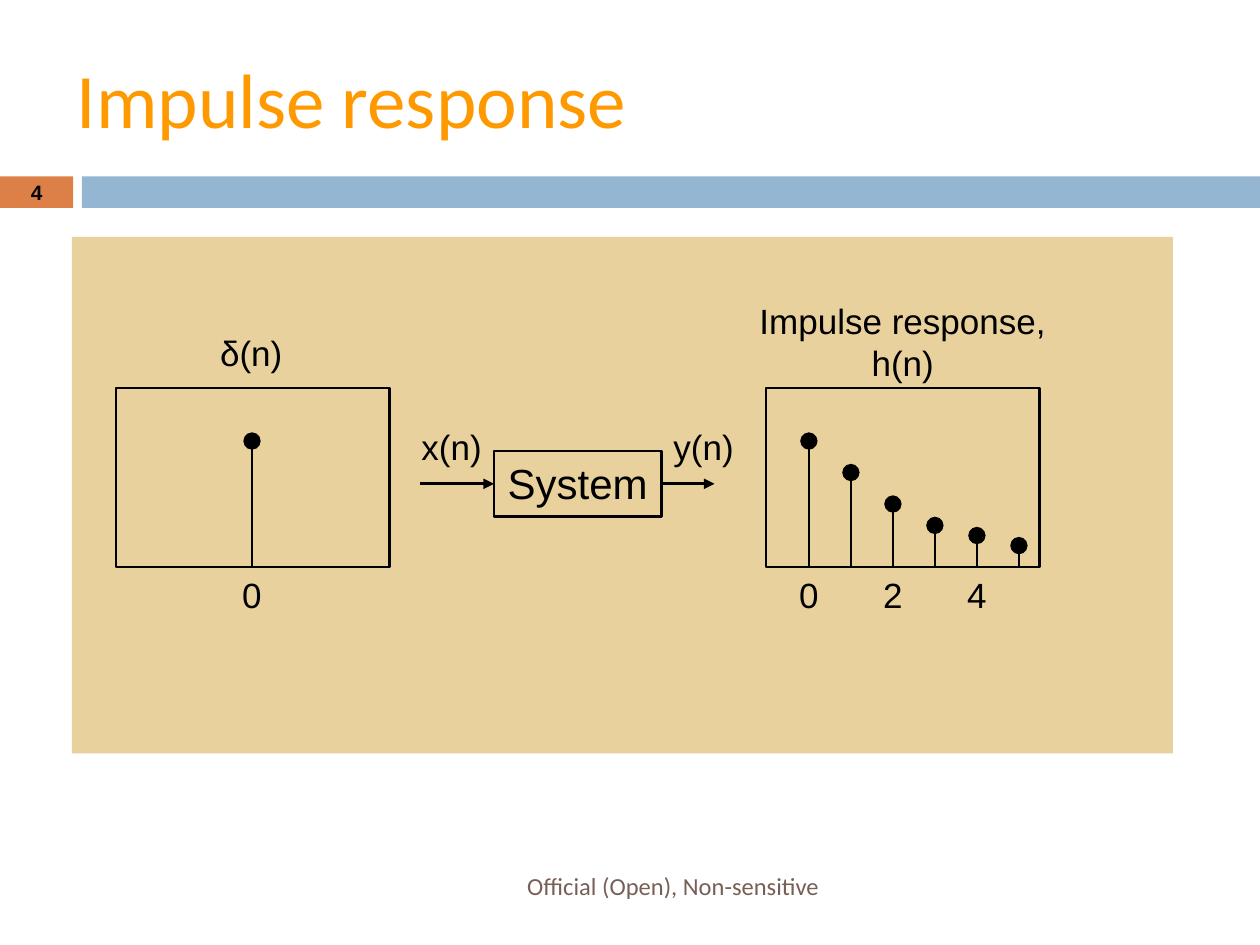
from pptx import Presentation
from pptx.dml.color import RGBColor
from pptx.enum.shapes import MSO_CONNECTOR, MSO_SHAPE
from pptx.enum.text import MSO_ANCHOR, PP_ALIGN
from pptx.oxml.ns import qn
from pptx.util import Inches, Pt
from lxml.etree import SubElement

BLACK = "000000"
BANDS = [
    (0, 1.4, 0.58, 0.25, "DD8047"),
    (0.65, 1.4, 9.35, 0.25, "94B6D2"),
    (0.57, 1.88, 8.74, 4.1, "E8D19D"),
]
PLOT_TOP, PLOT_WIDTH, PLOT_HEIGHT = 3.08, 2.17, 1.42
BASELINE = PLOT_TOP + PLOT_HEIGHT
STEP = 1 / 3
PLOTS = [
    {"left": 0.92, "origin": 2, "stems": [1], "ticks": [0]},
    {"left": 6.08, "origin": 6.42, "stems": [1, 0.75, 0.5, 0.33, 0.25, 0.17], "ticks": [0, 2, 4]},
]
LABELS = [
    ("δ(n)", 1.58, 2.58, 0.83, 0.43),
    ("Impulse response, h(n)", 5.83, 2.33, 2.67, 0.77),
    ("x(n)", 3.17, 3.33, 0.83, 0.43),
    ("y(n)", 5.17, 3.33, 0.83, 0.43),
]
SYSTEM = (3.92, 3.58, 1.33, 0.52)
FLOW_Y = SYSTEM[1] + SYSTEM[3] / 2

deck = Presentation()
deck.slide_width, deck.slide_height = Inches(10), Inches(7.5)
page = deck.slides.add_slide(deck.slide_layouts[5])


def color(value):
    return RGBColor.from_string(value)


def write(shape, text, size, font="Arial", ink=BLACK, align=PP_ALIGN.CENTER,
          anchor=MSO_ANCHOR.TOP, bold=False):
    frame = shape.text_frame
    frame.text = text
    frame.word_wrap = True
    frame.vertical_anchor = anchor
    para = frame.paragraphs[0]
    para.alignment = align
    span = para.runs[0].font
    span.size, span.name, span.bold = Pt(size), font, bold
    span.color.rgb = color(ink)


def add_label(text, left, top, width, height, size=20, **style):
    box = page.shapes.add_textbox(*map(Inches, (left, top, width, height)))
    write(box, text, size, **style)
    return box


def add_rectangle(left, top, width, height, fill=None):
    shape = page.shapes.add_shape(MSO_SHAPE.RECTANGLE, *map(Inches, (left, top, width, height)))
    shape.shadow.inherit = False
    if fill:
        shape.fill.solid()
        shape.fill.fore_color.rgb = color(fill)
        shape.line.fill.background()
    else:
        shape.fill.background()
        shape.line.color.rgb = color(BLACK)
        shape.line.width = Pt(1.5)
    return shape


def add_line(x1, y1, x2, y2, width, head, size):
    line = page.shapes.add_connector(MSO_CONNECTOR.STRAIGHT, *map(Inches, (x1, y1, x2, y2)))
    line.line.color.rgb = color(BLACK)
    line.line.width = Pt(width)
    SubElement(line.line._get_or_add_ln(), qn("a:tailEnd"), type=head, w=size, len=size)
    SubElement(line._element.spPr, qn("a:effectLst"))
    return line


for band in BANDS:
    add_rectangle(*band)

number = add_label("4", 0, 1.39, 0.58, 0.27, size=11.9, bold=True, anchor=MSO_ANCHOR.MIDDLE)
number.text_frame.margin_top = number.text_frame.margin_bottom = 0

title = page.shapes.title
title.left, title.top, title.width, title.height = map(Inches, (0.51, 0.44, 9, 0.67))
write(title, "Impulse response", 44, "Calibri", "FF9900", PP_ALIGN.LEFT, MSO_ANCHOR.MIDDLE)

system = add_rectangle(*SYSTEM)
write(system, "System", 24)
arrow_in = add_line(3.33, FLOW_Y, SYSTEM[0], FLOW_Y, 1.5, "triangle", "med")
arrow_in.end_connect(system, 1)
arrow_out = add_line(SYSTEM[0] + SYSTEM[2], FLOW_Y, 5.67, FLOW_Y, 1.5, "triangle", "med")
arrow_out.begin_connect(system, 3)

for plot in PLOTS:
    add_rectangle(plot["left"], PLOT_TOP, PLOT_WIDTH, PLOT_HEIGHT)
    for index, height in enumerate(plot["stems"]):
        x = plot["origin"] + index * STEP
        add_line(x, BASELINE, x, BASELINE - height, 0.75, "oval", "lg")
    for tick in plot["ticks"]:
        add_label(str(tick), plot["origin"] + (tick - 1) * STEP, BASELINE, 2 * STEP, 0.43)

for label in LABELS:
    add_label(*label)

add_label("Official (Open), Non-sensitive", 0.67, 6.83, 5.93, 0.4, size=14, font="Calibri",
          ink="775F55", align=PP_ALIGN.RIGHT, anchor=MSO_ANCHOR.MIDDLE)

deck.save("out.pptx")
